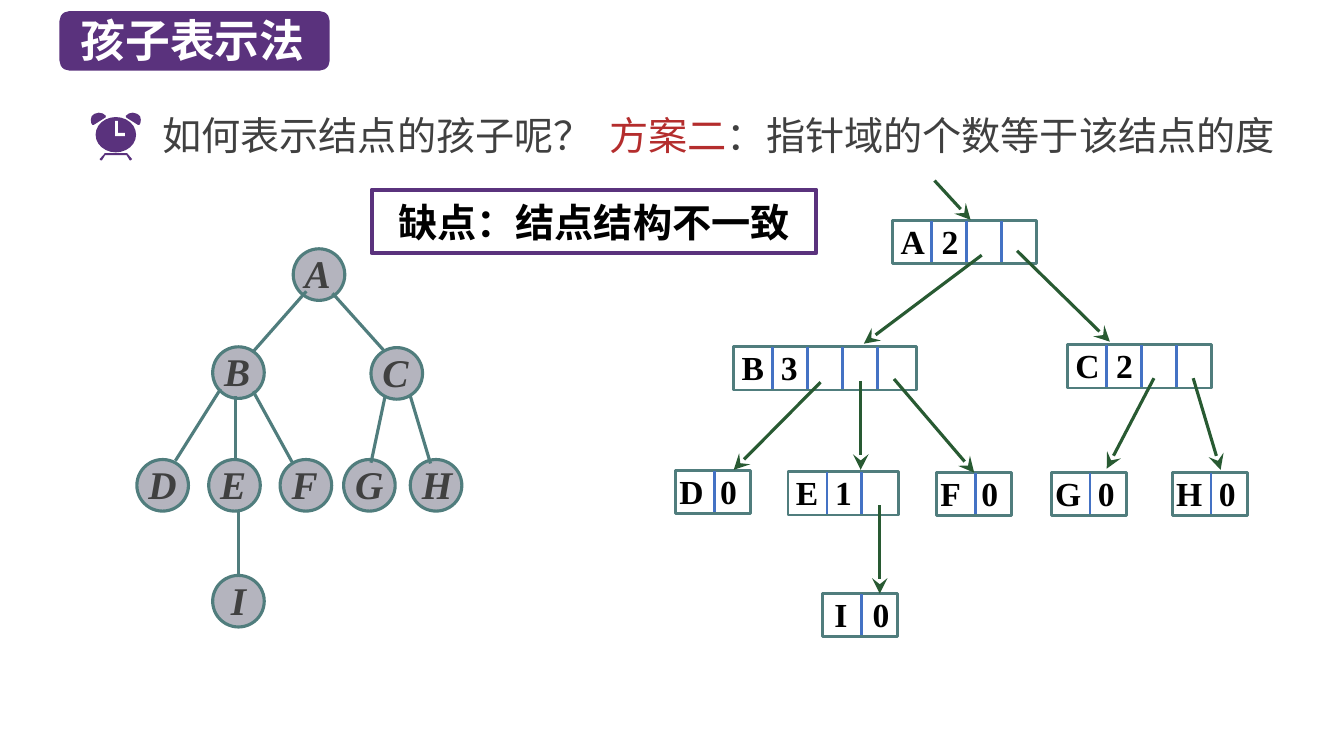
from lxml import etree
from pptx import Presentation
from pptx.dml.color import RGBColor
from pptx.enum.shapes import MSO_CONNECTOR, MSO_SHAPE
from pptx.enum.text import MSO_ANCHOR, PP_ALIGN
from pptx.oxml.ns import qn
from pptx.util import Cm, Pt

STRAIGHT = MSO_CONNECTOR.STRAIGHT
RECT, ROUNDED, OVAL = MSO_SHAPE.RECTANGLE, MSO_SHAPE.ROUNDED_RECTANGLE, MSO_SHAPE.OVAL
TOP, MIDDLE = MSO_ANCHOR.TOP, MSO_ANCHOR.MIDDLE
LEFT, CENTER = PP_ALIGN.LEFT, PP_ALIGN.CENTER

PURPLE = RGBColor(0x5A, 0x32, 0x7D)
WHITE = RGBColor(0xFF, 0xFF, 0xFF)
BLACK = RGBColor(0, 0, 0)
GRAY = RGBColor(0x40, 0x40, 0x40)
RED = RGBColor(0xB4, 0x2D, 0x2D)
NODE = RGBColor(0xB4, 0xB4, 0xBE)
TEAL = RGBColor(0x50, 0x7D, 0x7D)
BLUE = RGBColor(0x44, 0x72, 0xC4)
GREEN = RGBColor(0x28, 0x5A, 0x32)
SANS, SERIF = "Noto Sans CJK SC", "Times New Roman"

prs = Presentation()
prs.slide_width, prs.slide_height = Cm(33.87), Cm(19.05)
s = prs.slides.add_slide(prs.slide_layouts[6])


def write(sp, parts, size, font, bold=False, align=LEFT, anchor=TOP, insets=(0.25, 0.13, 0.25, 0.13)):
    tf = sp.text_frame
    tf.word_wrap = True
    tf.vertical_anchor = anchor
    tf.margin_left, tf.margin_top, tf.margin_right, tf.margin_bottom = [Cm(v) for v in insets]
    p = tf.paragraphs[0]
    p.alignment = align
    for text, color in parts:
        r = p.add_run()
        r.text = text
        r.font.size, r.font.name, r.font.bold = Pt(size), font, bold
        r.font.color.rgb = color
        etree.SubElement(r.font._element, qn("a:ea"), typeface=SANS)
    return p


def add_line(x1, y1, x2, y2, color, width, arrow=False):
    c = s.shapes.add_connector(STRAIGHT, Cm(x1), Cm(y1), Cm(x2), Cm(y2))
    c.line.color.rgb, c.line.width = color, Pt(width)
    if arrow:
        etree.SubElement(c.line._get_or_add_ln(), qn("a:tailEnd"), type="stealth", w="lg", len="lg")
    etree.SubElement(c._element.spPr, qn("a:effectLst"))
    return c


# Title
sp = s.shapes.add_shape(ROUNDED, Cm(1.5), Cm(0.28), Cm(6.81), Cm(1.5))
sp.shadow.inherit = False
sp.fill.solid()
sp.fill.fore_color.rgb = PURPLE
sp.line.fill.background()
sp = s.shapes.add_textbox(Cm(1.78), Cm(0.18), Cm(6.35), Cm(1.63))
write(sp, [("孩子表示法", WHITE)], 32, SANS, bold=True)

# Tree circles: left, top
circles = {
    "A": (7.39, 6.27), "B": (5.36, 8.74), "C": (9.35, 8.76),
    "D": (3.45, 11.58), "E": (5.26, 11.58), "F": (7.06, 11.58),
    "G": (8.66, 11.58), "H": (10.34, 11.58), "I": (5.36, 14.5),
}
for name, (x, y) in circles.items():
    sp = s.shapes.add_shape(OVAL, Cm(x), Cm(y), Cm(1.3), Cm(1.3))
    sp.shadow.inherit = False
    sp.fill.solid()
    sp.fill.fore_color.rgb = NODE
    sp.line.color.rgb, sp.line.width = TEAL, Pt(2.25)
    p = write(sp, [(name, GRAY)], 28, SERIF, bold=True,
              align=CENTER if name == "I" else LEFT, insets=(0.1, 0.05, 0.1, 0.1))
    p.line_spacing = 0.8
    p.runs[0].font.italic = True

# Tree edges
for edge in [
    (7.72, 7.34, 6.38, 8.86), (8.38, 7.39, 9.7, 8.86),
    (5.56, 9.8, 4.42, 11.61), (5.94, 9.98, 5.94, 11.61), (6.38, 9.86, 7.37, 11.66),
    (9.7, 10.01, 9.35, 11.66), (10.34, 9.98, 10.85, 11.68),
    (6.02, 12.9, 6.02, 14.53),
]:
    add_line(*edge, TEAL, 2.25)

# Question and answer line
sp = s.shapes.add_textbox(Cm(3.84), Cm(2.67), Cm(12), Cm(1.45))
write(sp, [("如何表示结点的孩子呢？", GRAY)], 28, SANS)
sp = s.shapes.add_textbox(Cm(15.11), Cm(2.67), Cm(17.5), Cm(1.45))
write(sp, [("方案二", RED), ("：指针域的个数等于该结点的度", GRAY)], 28, SANS)

# Alarm clock, outlines in hundredths of a centimetre
sp = s.shapes.add_shape(OVAL, Cm(2.41), Cm(2.95), Cm(1.02), Cm(0.89))
sp.shadow.inherit = False
sp.fill.solid()
sp.fill.fore_color.rgb = PURPLE
sp.line.fill.background()
bell = [(249, 284), (238, 287), (231, 293), (229, 302), (230, 310),
        (233, 315), (236, 315), (266, 296), (267, 292), (259, 286)]
feet = [(333, 401), (323, 389), (320, 386), (264, 386), (262, 389), (251, 401),
        (254, 404), (257, 404), (265, 391), (319, 391), (327, 404), (330, 404)]
hands = [(290, 305), (297, 305), (297, 335), (315, 335), (315, 343), (290, 343)]
right_bell = [(584 - x, y) for x, y in bell]
for points, color in [(bell, PURPLE), (right_bell, PURPLE), (feet, PURPLE), (hands, WHITE)]:
    outline = s.shapes.build_freeform(*points[0], scale=Cm(0.01))
    outline.add_line_segments(points[1:], close=True)
    sp = outline.convert_to_shape()
    sp.shadow.inherit = False
    sp.fill.solid()
    sp.fill.fore_color.rgb = color
    sp.line.fill.background()

# Drawback box
sp = s.shapes.add_shape(RECT, Cm(9.37), Cm(4.78), Cm(11.2), Cm(1.6))
sp.shadow.inherit = False
sp.fill.background()
sp.line.color.rgb, sp.line.width = PURPLE, Pt(3)
write(sp, [("缺点：结点结构不一致", BLACK)], 28, SERIF, bold=True,
      align=CENTER, anchor=MIDDLE, insets=(0.25, 0, 0.25, 0))

# Linked records: name, degree, left, top, width, cells, left inset, tab stop
FIRST_CELL, CELL = 0.98, 0.88
records = {}
for name, degree, x, y, w, cells, inset, tab in [
    ("A", 2, 22.5, 5.56, 3.63, 4, 0.2, 1.03),
    ("B", 3, 18.49, 8.74, 4.6, 5, 0.2, 0.99),
    ("C", 2, 26.9, 8.69, 3.63, 4, 0.2, 1.03),
    ("D", 0, 17.02, 11.86, 1.9, 2, 0.1, 1.03),
    ("E", 1, 19.86, 11.89, 2.79, 3, 0.2, 0.99),
    ("F", 0, 23.6, 11.91, 1.9, 2, 0.1, 1.03),
    ("G", 0, 26.49, 11.91, 1.9, 2, 0.1, 1.08),
    ("H", 0, 29.54, 11.91, 1.9, 2, 0.1, 1.08),
    ("I", 0, 20.73, 14.96, 1.9, 2, 0.3, 0.96),
]:
    sp = records[name] = s.shapes.add_shape(RECT, Cm(x), Cm(y), Cm(w), Cm(1.09))
    sp.shadow.inherit = False
    sp.fill.background()
    sp.line.color.rgb, sp.line.width = TEAL, Pt(2)
    p = write(sp, [(f"{name}\t{degree}", BLACK)], 24, SERIF, bold=True, insets=(inset, 0, 0, 0))
    tabs = etree.SubElement(p._p.get_or_add_pPr(), qn("a:tabLst"))
    etree.SubElement(tabs, qn("a:tab"), pos=str(Cm(tab)), algn="l")
    for i in range(cells - 1):
        divider = x + FIRST_CELL + i * CELL
        add_line(divider, y, divider, y + 1.05, BLUE, 2)

# Pointers
for pointer in [
    (23.55, 4.55, 24.46, 5.54),
    (24.74, 6.43, 21.77, 8.66), (25.63, 6.32, 27.97, 8.61),
    (20.68, 9.63, 18.49, 11.84), (21.69, 9.6, 21.69, 11.84),
    (29.08, 9.53, 27.89, 11.81), (30.07, 9.53, 30.76, 11.84),
    (22.17, 12.73, 22.17, 14.96),
]:
    add_line(*pointer, GREEN, 2.25, arrow=True)
c = add_line(22.53, 9.55, 24.55, 11.91, GREEN, 2.25, arrow=True)
c.end_connect(records["F"], 0)

prs.save("out.pptx")
